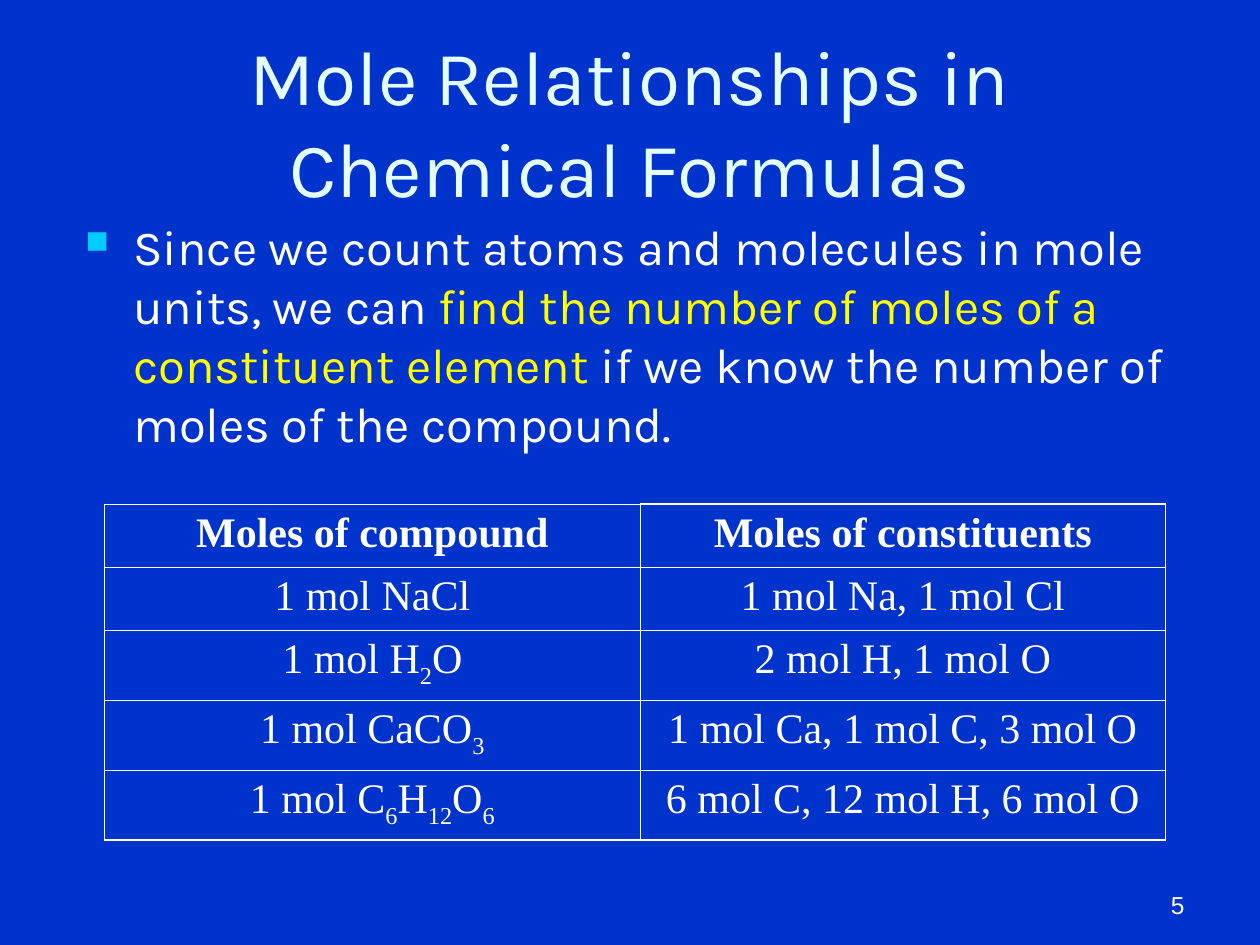
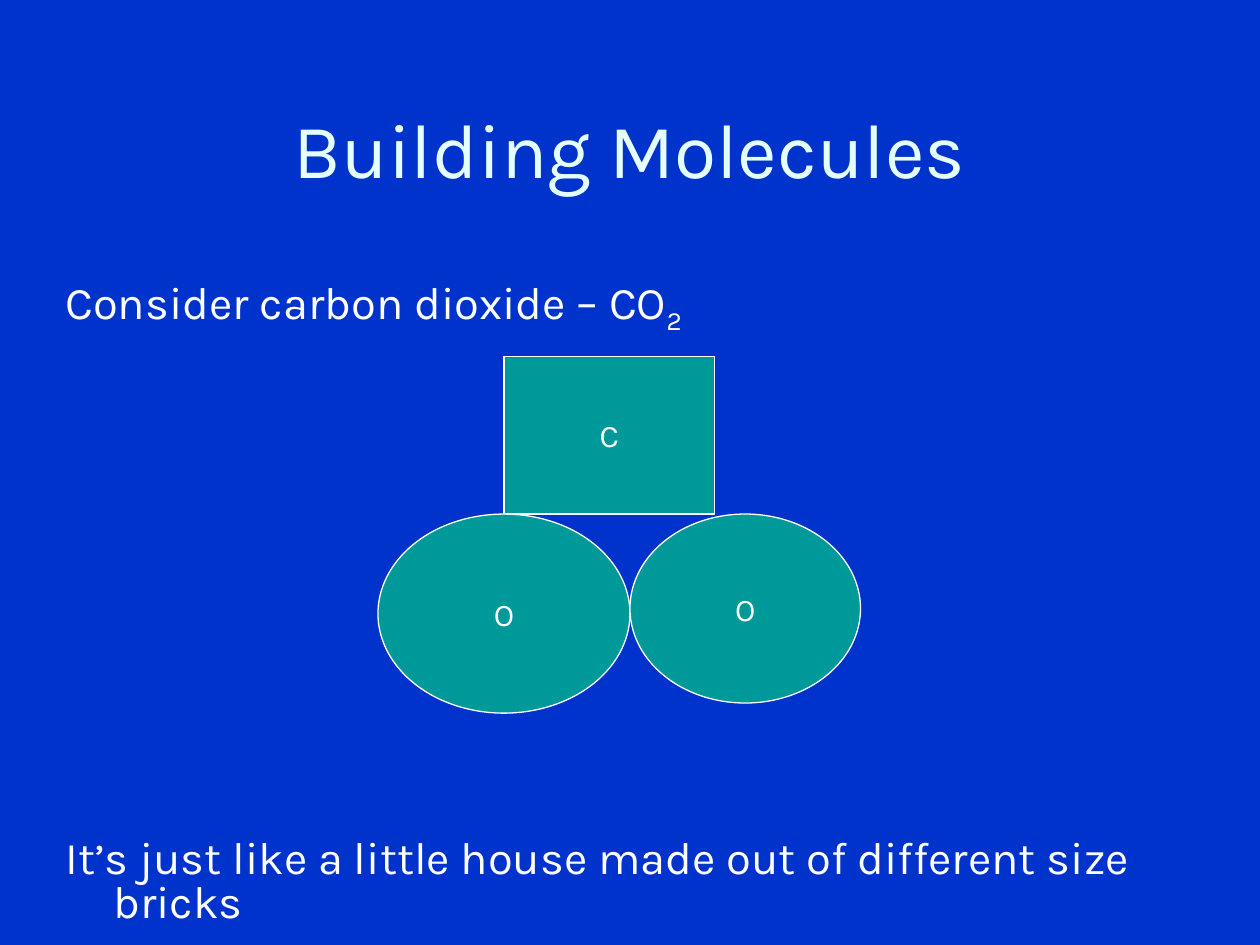
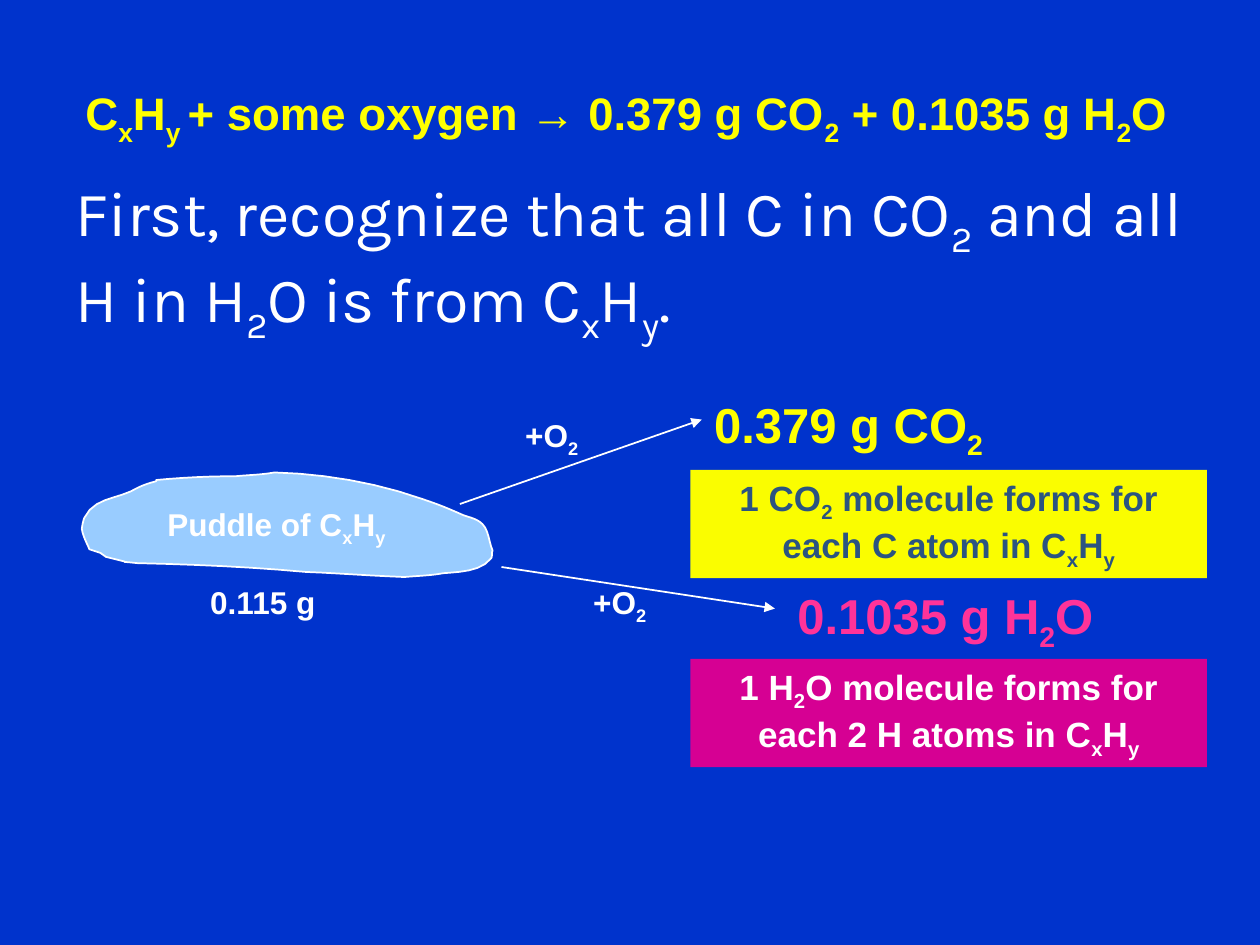
from dataclasses import dataclass

from lxml import etree
from pptx import Presentation
from pptx.dml.color import RGBColor
from pptx.enum.shapes import MSO_CONNECTOR, MSO_SHAPE
from pptx.enum.text import MSO_ANCHOR, PP_ALIGN
from pptx.oxml.ns import qn
from pptx.util import Pt

PX = 9144  # 100 px to the inch
LEFT, CENTER, RIGHT = PP_ALIGN.LEFT, PP_ALIGN.CENTER, PP_ALIGN.RIGHT
TOP, MIDDLE, BOTTOM = MSO_ANCHOR.TOP, MSO_ANCHOR.MIDDLE, MSO_ANCHOR.BOTTOM
RECT, OVAL = MSO_SHAPE.RECTANGLE, MSO_SHAPE.OVAL
STRAIGHT = MSO_CONNECTOR.STRAIGHT


@dataclass(frozen=True)
class Theme:
    background: str = "0033CC"
    title: str = "E5FFFF"
    text: str = "FFFFFF"
    accent: str = "FFFF00"
    bullet: str = "00CCFF"
    atom: str = "009999"
    puddle: str = "99CCFF"
    water: str = "FF3399"
    water_box: str = "D60093"
    carbon_box: str = "FAFD00"
    carbon_text: str = "2B5481"
    display: str = "Karla"
    label: str = "Arial"
    table: str = "Times New Roman"
    title_size: float = 44
    lead_size: float = 36
    body_size: float = 28
    house_size: float = 25.9
    equation_size: float = 26
    table_size: float = 24
    box_size: float = 20
    label_size: float = 18
    number_size: float = 14
    thick: float = 1.08
    thin: float = 0.45


T = Theme()

# In all wording, _x_ is a subscript and *x* is highlighted.
MOLES_TITLE = "Mole Relationships in\nChemical Formulas"
MOLES_BODY = ("Since we count atoms and molecules in mole units, we can "
              "*find the number of moles of a constituent element *"
              "if we know the number of moles of the compound.")
MOLES_TABLE = [
    ("Moles of compound", "Moles of constituents"),
    ("1 mol NaCl", "1 mol Na, 1 mol Cl"),
    ("1 mol H_2_O", "2 mol H, 1 mol O"),
    ("1 mol CaCO_3_", "1 mol Ca, 1 mol C, 3 mol O"),
    ("1 mol C_6_H_12_O_6_", "6 mol C, 12 mol H, 6 mol O"),
]
COLUMN_WIDTHS = (425, 417)
ROW_HEIGHTS = (47, 47, 52, 52, 52)

HOUSE_TITLE = "Building Molecules"
HOUSE_BODY = ["Consider carbon dioxide – CO_2_",
              "It’s just like a little house made out of different size bricks"]
ATOMS = [
    ("C", RECT, (400, 283, 167, 125)),
    ("O", OVAL, (300, 408, 200, 158)),
    ("O", OVAL, (500, 408, 183, 150)),
]

EQUATION = "C_x_H_y _+ some oxygen → 0.379 g CO_2_ + 0.1035 g H_2_O"
LEAD = "First, recognize that all C in CO_2_ and all H in H_2_O is from C_x_H_y_."
PUDDLE_START = (124, 381)
PUDDLE_CURVES = [  # two control points and an end point each
    ((145, 379), (166, 378), (187, 378)), ((197, 377), (207, 377), (218, 375)),
    ((257, 376), (298, 383), (335, 396)), ((347, 400), (357, 404), (368, 409)),
    ((374, 411), (379, 412), (383, 416)), ((388, 421), (388, 430), (391, 437)),
    ((390, 439), (391, 441), (390, 443)), ((382, 454), (363, 454), (352, 455)),
    ((341, 457), (332, 457), (321, 458)), ((294, 457), (269, 455), (243, 454)),
    ((199, 450), (154, 448), (109, 447)), ((90, 445), (105, 447), (96, 445)),
    ((92, 444), (84, 442), (84, 442)), ((83, 441), (81, 440), (80, 439)),
    ((77, 438), (71, 436), (71, 436)), ((69, 431), (66, 426), (65, 420)),
    ((65, 419), (66, 413), (67, 411)), ((74, 396), (91, 396), (104, 390)),
    ((111, 386), (116, 384), (124, 382)),
]
PUDDLE_LABELS = [
    ("Puddle of C_x_H_y_", (123, 396, 193, 44)),
    ("0.115 g", (157, 458, 105, 40)),
    ("+O_2_", (407, 325, 62, 44)),
    ("+O_2_", (461, 458, 62, 44)),
]
ARROWS = [(365, 400, 557, 333), (398, 450, 615, 483)]
PRODUCTS = [
    ("0.379 g CO_2_", (557, 308, 317, 63), T.accent),
    ("0.1035 g H_2_O", (623, 460, 317, 63), T.water),
]
RULES = [
    ("1 H_2_O molecule forms for each 2 H atoms in C_x_H_y_",
     (548, 523, 410, 86), T.water_box, T.text),
    ("1 CO_2_ molecule forms for each C atom in C_x_H_y_",
     (548, 373, 410, 86), T.carbon_box, T.carbon_text),
]


def px(*lengths):
    return [n * PX for n in lengths]


def rgb(color):
    return RGBColor.from_string(color)


def add_runs(p, text, size, font=T.display, color=T.text, bold=False):
    """Add marked-up text as runs, turning newlines into line breaks."""
    for i, part in enumerate(text.split("*")):
        for j, piece in enumerate(part.split("_")):
            for k, line in enumerate(piece.split("\n")):
                if k:
                    p.add_line_break()
                if not line:
                    continue
                r = p.add_run()
                r.text = line
                r.font.size, r.font.name, r.font.bold = Pt(size), font, bold
                r.font.color.rgb = rgb(T.accent if i % 2 else color)
                if j % 2:
                    r.font._element.set("baseline", "-25000")


def fill_text(sp, text, size, align=LEFT, anchor=TOP, wrap=True, before=0,
              spacing=None, **style):
    tf = sp.text_frame
    tf.word_wrap, tf.vertical_anchor = wrap, anchor
    p = tf.paragraphs[0]
    p.alignment, p.space_before = align, Pt(before)
    p.line_spacing = spacing
    add_runs(p, text, size, **style)
    return p


def add_text(s, box, text, size, **options):
    return fill_text(s.shapes.add_textbox(*px(*box)), text, size, **options)


def add_box(s, kind, box, fill, line=None):
    sp = s.shapes.add_shape(kind, *px(*box))
    paint(sp, fill, line)
    return sp


def paint(sp, fill, line=None):
    sp.shadow.inherit = False
    sp.fill.solid()
    sp.fill.fore_color.rgb = rgb(fill)
    if line:
        sp.line.color.rgb, sp.line.width = rgb(T.text), Pt(line)
    else:
        sp.line.fill.background()


def add_title(s, box, text):
    add_text(s, box, text, T.title_size, align=CENTER, anchor=MIDDLE,
             color=T.title)


def hang(p, bullet=None):
    """Give a paragraph a hanging indent, with a bullet if one is named."""
    pPr = p._p.get_or_add_pPr()
    pPr.set("marL", str(38 * PX))
    pPr.set("indent", str(-38 * PX))
    if bullet:
        color = etree.SubElement(pPr, qn("a:buClr"))
        etree.SubElement(color, qn("a:srgbClr"), val=T.bullet)
        etree.SubElement(pPr, qn("a:buSzPct"), val="65000")
        etree.SubElement(pPr, qn("a:buChar"), char=bullet)


def set_borders(cell, weights):
    tcPr = cell._tc.get_or_add_tcPr()
    for i, (side, weight) in enumerate(weights.items()):
        ln = etree.Element(qn("a:ln" + side), w=str(Pt(weight)))
        fill = etree.SubElement(ln, qn("a:solidFill"))
        etree.SubElement(fill, qn("a:srgbClr"), val=T.text)
        tcPr.insert(i, ln)


def add_moles_table(s, left, top):
    rows, cols = len(ROW_HEIGHTS), len(COLUMN_WIDTHS)
    table = s.shapes.add_table(rows, cols, *px(
        left, top, sum(COLUMN_WIDTHS), sum(ROW_HEIGHTS))).table
    table.first_row = table.horz_banding = False
    for column, width in zip(table.columns, COLUMN_WIDTHS):
        column.width = width * PX
    for row, height in zip(table.rows, ROW_HEIGHTS):
        row.height = height * PX
    for r, texts in enumerate(MOLES_TABLE):
        for c, text in enumerate(texts):
            cell = table.cell(r, c)
            cell.fill.solid()
            cell.fill.fore_color.rgb = rgb(T.background)
            fill_text(cell, text, T.table_size, align=CENTER, before=6,
                      font=T.table, bold=r == 0)
            heavy = {"L": c == 0, "R": c == cols - 1,
                     "T": r == 0 and c > 0, "B": r == rows - 1}
            set_borders(cell, {side: T.thick if on else T.thin
                               for side, on in heavy.items()})


def curve_points(start, curves, steps=6):
    """Sample a chain of cubic curves, leaving out its start point."""
    for a, b, end in curves:
        for i in range(1, steps + 1):
            t = i / steps
            u = 1 - t
            yield tuple(
                round((u**3 * p0 + 3 * u * u * t * p1 + 3 * u * t * t * p2
                       + t**3 * p3) * PX)
                for p0, p1, p2, p3 in zip(start, a, b, end))
        start = end


def add_puddle(s):
    outline = s.shapes.build_freeform(*px(*PUDDLE_START))
    outline.add_line_segments(curve_points(PUDDLE_START, PUDDLE_CURVES))
    paint(outline.convert_to_shape(), T.puddle, 1)


def add_arrow(s, ends):
    line = s.shapes.add_connector(STRAIGHT, *px(*ends))
    line.line.color.rgb, line.line.width = rgb(T.text), Pt(1)
    etree.SubElement(line.line._get_or_add_ln(), qn("a:tailEnd"),
                     type="triangle")
    etree.SubElement(line._element.spPr, qn("a:effectLst"))


def add_slide(prs):
    s = prs.slides.add_slide(prs.slide_layouts[6])
    s.background.fill.solid()
    s.background.fill.fore_color.rgb = rgb(T.background)
    return s


def build_moles(s):
    add_text(s, (717, 683, 233, 52), "5", T.number_size, align=RIGHT,
             anchor=BOTTOM, font=T.label)
    add_title(s, (75, 42, 850, 108), MOLES_TITLE)
    p = add_text(s, (58, 167, 883, 225), MOLES_BODY, T.body_size, before=7)
    hang(p, "■")
    add_moles_table(s, 83, 400)


def build_house(s):
    add_title(s, (50, 42, 900, 150), HOUSE_TITLE)
    sp = s.shapes.add_textbox(*px(42, 217, 908, 492))
    first = fill_text(sp, HOUSE_BODY[0], T.house_size, before=7, spacing=0.8)
    last = sp.text_frame.add_paragraph()
    last.line_spacing, last.space_before = 0.8, Pt(292)
    add_runs(last, HOUSE_BODY[1], T.house_size)
    for p in (first, last):
        hang(p)
    for symbol, kind, box in ATOMS:
        fill_text(add_box(s, kind, box, T.atom, 0.75), symbol, T.label_size,
                  align=CENTER, anchor=MIDDLE, wrap=False)


def build_combustion(s):
    label = {"font": T.label, "bold": True}
    add_text(s, (50, 133, 908, 150), LEAD, T.lead_size, before=9, spacing=1.0)
    add_text(s, (58, 58, 942, 64), EQUATION, T.equation_size, before=9.8,
             spacing=1.1, color=T.accent, **label)
    add_puddle(s)
    for ends in ARROWS:
        add_arrow(s, ends)
    for text, box in PUDDLE_LABELS:
        add_text(s, box, text, T.label_size, wrap=False, **label)
    for text, box, color in PRODUCTS:
        add_text(s, box, text, T.body_size, color=color, **label)
    for text, box, fill, color in RULES:
        fill_text(add_box(s, RECT, box, fill), text, T.box_size,
                  align=CENTER, color=color, **label)


def main():
    prs = Presentation()
    prs.slide_width, prs.slide_height = px(1000, 750)
    for build in (build_moles, build_house, build_combustion):
        build(add_slide(prs))
    prs.save("out.pptx")


if __name__ == "__main__":
    main()
